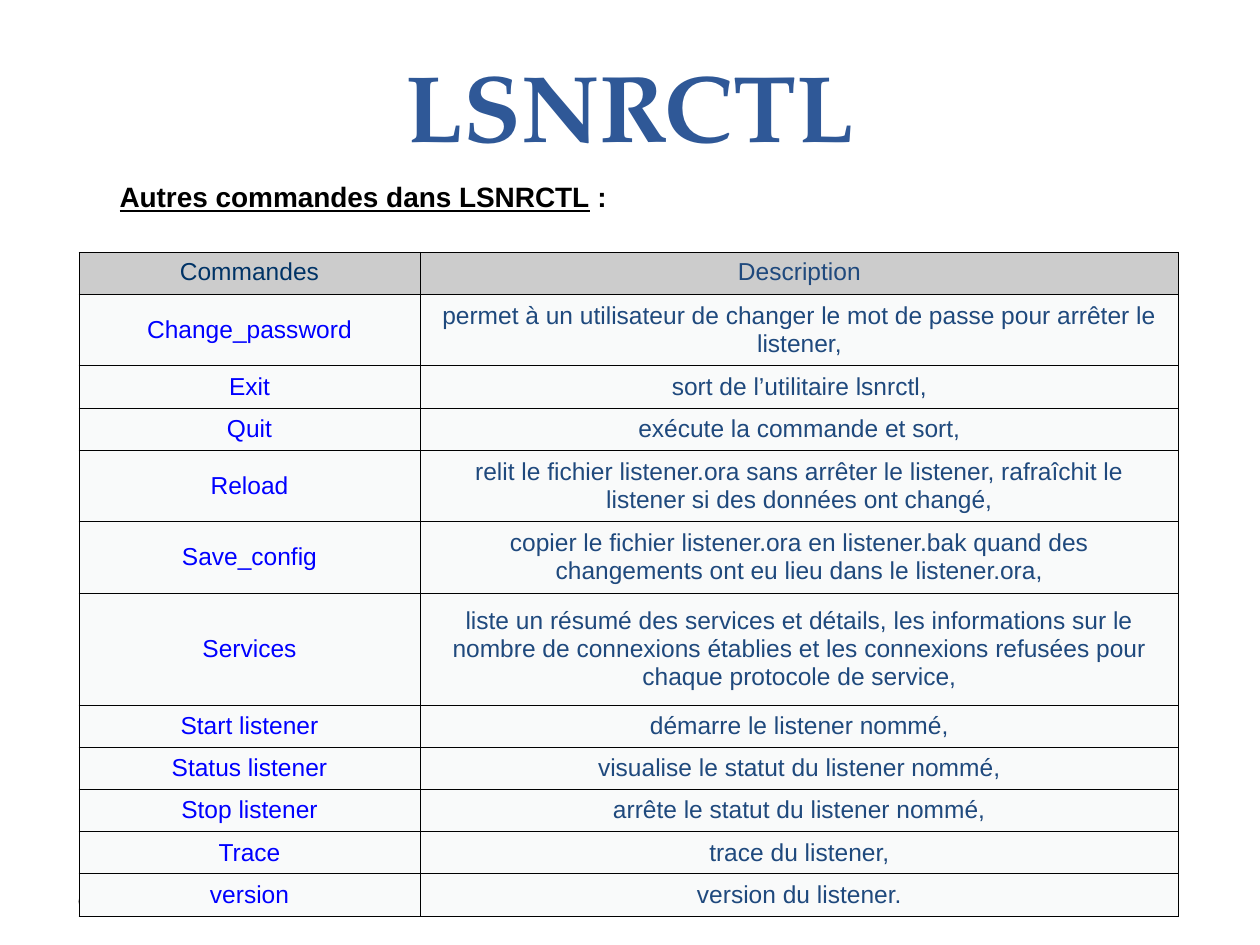
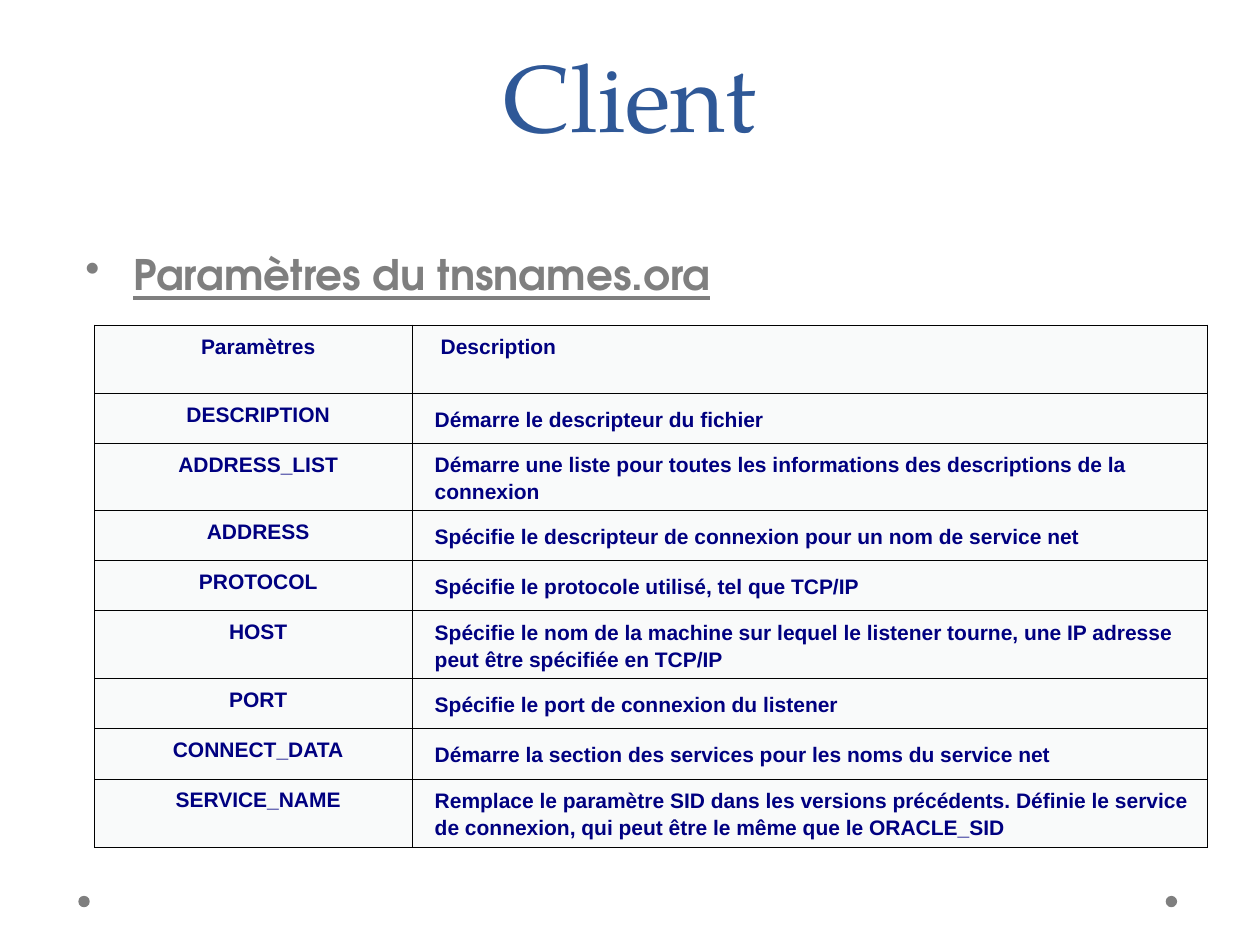
from lxml.etree import SubElement
from pptx import Presentation
from pptx.dml.color import RGBColor
from pptx.enum.shapes import MSO_SHAPE
from pptx.enum.text import MSO_ANCHOR, PP_ALIGN
from pptx.oxml.ns import qn
from pptx.util import Cm, Pt

SANS, SERIF, ROUND = "Arial", "TeX Gyre Pagella", "TeX Gyre Adventor"
BLACK, GREY, BLUE, NAVY = "000000", "7F7F7F", "2F5897", "000080"
LINK, INK, DEEP = "0000FF", "1F497D", "003366"
PALE, HEAD = "F9FAFA", "CCCCCC"
LEFT, MID = PP_ALIGN.LEFT, PP_ALIGN.CENTER

VERBS = [
    ("Commandes", "Description", 0.85),
    ("Change_password", "permet à un utilisateur de changer le mot de passe "
     "pour arrêter le listener,", 1.43),
    ("Exit", "sort de l’utilitaire lsnrctl,", 0.85),
    ("Quit", "exécute la commande et sort,", 0.85),
    ("Reload", "relit le fichier listener.ora sans arrêter le listener, "
     "rafraîchit le listener si des données ont changé,", 1.44),
    ("Save_config", "copier le fichier listener.ora en listener.bak quand "
     "des changements ont eu lieu dans le listener.ora,", 1.44),
    ("Services", "liste un résumé des services et détails, les informations "
     "sur le nombre de connexions établies et les connexions refusées pour "
     "chaque protocole de service,", 2.26),
    ("Start listener", "démarre le listener nommé,", 0.85),
    ("Status listener", "visualise le statut du listener nommé,", 0.85),
    ("Stop listener", "arrête le statut du listener nommé,", 0.85),
    ("Trace", "trace du listener,", 0.85),
    ("version", "version du listener.", 0.85),
]
KEYS = [
    ("Paramètres", "Description", 1.37),
    ("DESCRIPTION", "Démarre le descripteur du fichier", 1.01),
    ("ADDRESS_LIST", "Démarre une liste pour toutes les informations des "
     "descriptions de la connexion", 1.36),
    ("ADDRESS", "Spécifie le descripteur de connexion pour un nom de service "
     "net", 1.01),
    ("PROTOCOL", "Spécifie le protocole utilisé, tel que TCP/IP", 1.01),
    ("HOST", "Spécifie le nom de la machine sur lequel le listener tourne, "
     "une IP adresse peut être spécifiée en TCP/IP", 1.37),
    ("PORT", "Spécifie le port de connexion du listener", 1.01),
    ("CONNECT_DATA", "Démarre la section des services pour les noms du "
     "service net", 1.01),
    ("SERVICE_NAME", "Remplace le paramètre SID dans les versions "
     "précédents. Définie le service de connexion, qui peut être le même "
     "que le ORACLE_SID", 1.37),
]


def tint(code):
    return RGBColor.from_string(code)


def add_run(para, text, face, size, color, bold=False, under=False):
    run = para.add_run()
    run.text = text
    font = run.font
    font.name, font.size = face, Pt(size)
    font.bold, font.underline = bold, under
    font.color.rgb = tint(color)


def add_box(slide, box, anchor=MSO_ANCHOR.TOP):
    frame = slide.shapes.add_textbox(*map(Cm, box)).text_frame
    frame.word_wrap = True
    frame.vertical_anchor = anchor
    return frame.paragraphs[0]


def add_title(slide, text, top, bold):
    para = add_box(slide, (1.27, top, 22.86, 2.74), MSO_ANCHOR.BOTTOM)
    para.alignment = MID
    para.line_spacing = Pt(58)
    add_run(para, text, SERIF, 54, BLUE, bold)


def add_dots(slide):
    for left in (23.5, 1.58):
        dot = slide.shapes.add_shape(
            MSO_SHAPE.OVAL, Cm(left), Cm(18.06), Cm(0.23), Cm(0.23))
        dot.shadow.inherit = False
        dot.fill.solid()
        dot.fill.fore_color.rgb = tint(GREY)
        dot.line.fill.background()


def indent(para, left, first=0):
    props = para._p.get_or_add_pPr()
    props.set("marL", str(Cm(left)))
    props.set("indent", str(Cm(first)))
    return props


def add_edge(cell):
    props = cell._tc.get_or_add_tcPr()
    for side in ("L", "R", "T", "B"):
        line = SubElement(props, qn(f"a:ln{side}"), w=str(Pt(0.34)))
        fill = SubElement(line, qn("a:solidFill"))
        SubElement(fill, qn("a:srgbClr"), val=BLACK)


def add_grid(slide, left, top, wides, rows, style):
    high = sum(row[-1] for row in rows)
    grid = slide.shapes.add_table(
        len(rows), len(wides), Cm(left), Cm(top),
        Cm(sum(wides)), Cm(high)).table
    grid.first_row = grid.horz_banding = False
    for col, wide in zip(grid.columns, wides):
        col.width = Cm(wide)
    for r, (*texts, tall) in enumerate(rows):
        grid.rows[r].height = Cm(tall)
        for c, text in enumerate(texts):
            cell = grid.cell(r, c)
            add_edge(cell)
            cell.fill.solid()
            style(cell, r, c, text)


def style_verb(cell, r, c, text):
    head = r == 0
    cell.fill.fore_color.rgb = tint(HEAD if head else PALE)
    cell.vertical_anchor = MSO_ANCHOR.TOP if head else MSO_ANCHOR.MIDDLE
    if head:
        cell.margin_left = cell.margin_right = Cm(0.2)
    para = cell.text_frame.paragraphs[0]
    para.alignment = MID
    color = INK if c else DEEP if head else LINK
    add_run(para, text, SANS, 14, color)


def style_key(cell, r, c, text):
    head = r == 0
    cell.fill.fore_color.rgb = tint(PALE)
    cell.vertical_anchor = MSO_ANCHOR.MIDDLE if c and not head else MSO_ANCHOR.TOP
    if not c:
        cell.margin_left = cell.margin_right = Cm(0.13)
    para = cell.text_frame.paragraphs[0]
    indent(para, 0.32 if c and head else 0.2)
    para.alignment = LEFT if c else MID
    para.line_spacing = Pt(15.6)
    para.space_after = Pt(0 if head else 3.7)
    add_run(para, text, SANS, 12, NAVY, True)


def add_point(slide, text, box):
    para = add_box(slide, box)
    props = indent(para, 0.97, -0.97)
    color = SubElement(props, qn("a:buClr"))
    SubElement(color, qn("a:srgbClr"), val=GREY)
    SubElement(props, qn("a:buChar"), char="•")
    add_run(para, text, ROUND, 24, GREY, True, True)


def new_slide(deck):
    slide = deck.slides.add_slide(deck.slide_layouts[6])
    add_dots(slide)
    return slide


def tool_slide(deck):
    slide = new_slide(deck)
    add_title(slide, "LSNRCTL", 0.64, True)
    para = add_box(slide, (2.16, 3.5, 21.6, 0.94))
    add_run(para, "Autres commandes dans LSNRCTL", SANS, 16, BLACK, True, True)
    add_run(para, " :", SANS, 16, BLACK, True)
    add_grid(slide, 1.59, 5.08, (6.88, 15.29), VERBS, style_verb)


def client_slide(deck):
    slide = new_slide(deck)
    add_title(slide, "Client", 0.43, False)
    add_point(slide, "Paramètres du tnsnames.ora", (1.47, 4.88, 22.86, 1.9))
    add_grid(slide, 1.9, 6.55, (6.41, 16.03), KEYS, style_key)


def main():
    deck = Presentation()
    deck.slide_width, deck.slide_height = Cm(25.4), Cm(19.05)
    tool_slide(deck)
    client_slide(deck)
    deck.save("out.pptx")


if __name__ == "__main__":
    main()
